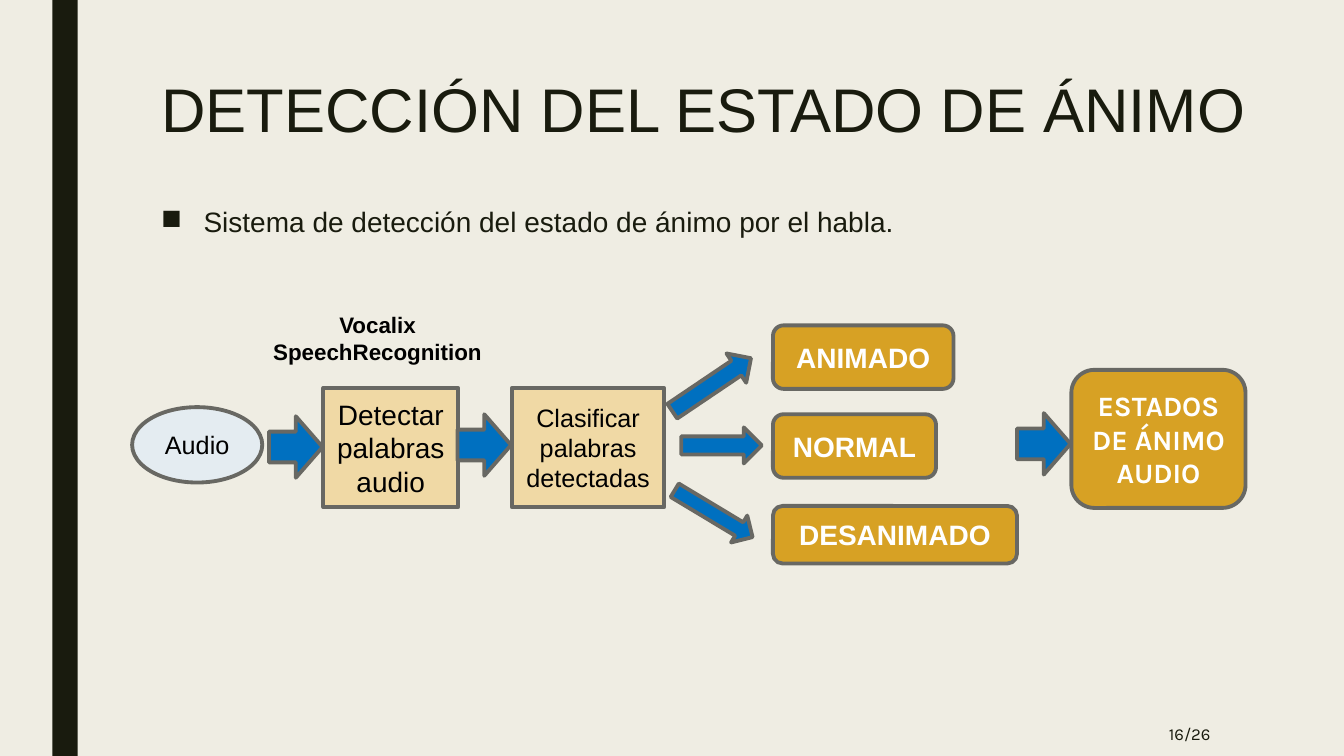
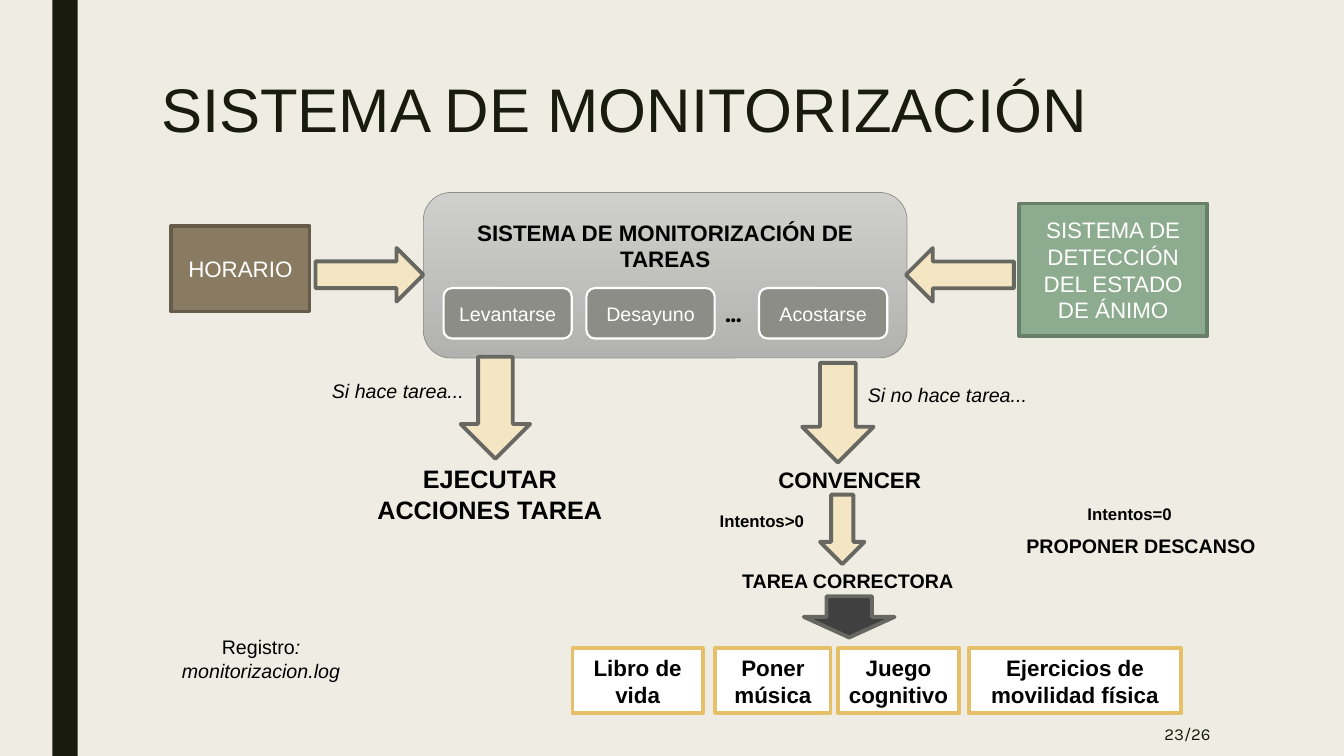
from dataclasses import dataclass

import lxml.etree
import pptx
import pptx.dml.color
import pptx.enum.shapes
import pptx.enum.text
import pptx.oxml.ns
import pptx.util

Cm = pptx.util.Cm
Pt = pptx.util.Pt
rgb = pptx.dml.color.RGBColor.from_string
qn = pptx.oxml.ns.qn
PRESET = pptx.enum.shapes.MSO_SHAPE
ALIGN = pptx.enum.text.PP_ALIGN
ANCHOR = pptx.enum.text.MSO_ANCHOR


@dataclass(frozen=True)
class Theme:
    font: str = "Arial"
    accent_font: str = "Karla"
    paper: str = "EFEDE3"
    ink: str = "191B0E"
    black: str = "000000"
    white: str = "FFFFFF"
    outline: str = "686863"
    blue: str = "0070C0"
    ice: str = "E4ECF1"
    sand: str = "F0D9A5"
    gold: str = "D7A124"
    gold_line: str = "E6C069"
    cream: str = "F5E6C3"
    charcoal: str = "404040"
    gray: str = "8C8D86"
    gray_top: str = "CFCFCD"
    gray_bottom: str = "B2B3AF"
    brown: str = "897B61"
    brown_line: str = "655B48"
    green: str = "8DAB8E"
    green_line: str = "687F69"
    title: int = 44
    large: int = 20
    medium: int = 18
    normal: int = 16
    small: int = 14
    tiny: int = 12
    border: float = 2.75
    thin_border: float = 1.5
    hairline: float = 0.5


theme = Theme()
deck = pptx.Presentation()
deck.slide_width, deck.slide_height = Cm(33.87), Cm(19.05)


def add_item(page, frame, text="", preset=None, fill=None, line=theme.outline,
             width=theme.border, turn=0, size=theme.normal, color=theme.black,
             bold=False, italic=False, font=theme.font, align=ALIGN.CENTER):
    """Add a preset shape, or a plain text box when there is no preset."""
    frame = [Cm(value) for value in frame]
    if preset is None:
        item = page.shapes.add_textbox(*frame)
        item.text_frame.vertical_anchor = ANCHOR.TOP
    else:
        item = page.shapes.add_shape(preset, *frame)
        item.shadow.inherit = False
        item.rotation = turn
        item.text_frame.vertical_anchor = ANCHOR.MIDDLE
        if fill:
            item.fill.solid()
            item.fill.fore_color.rgb = rgb(fill)
        if line:
            item.line.color.rgb = rgb(line)
            item.line.width = Pt(width)
        else:
            item.line.fill.background()
    item.text_frame.word_wrap = True
    if text:
        item.text_frame.text = text
        for para in item.text_frame.paragraphs:
            para.alignment = align
            for span in para.runs:
                span.font.name, span.font.size = font, Pt(size)
                span.font.bold, span.font.italic = bold, italic
                span.font.color.rgb = rgb(color)
    return item


def start_page(title, number):
    """Add a page with the background, side band, title and page number."""
    page = deck.slides.add_slide(deck.slide_layouts[6])
    page.background.fill.solid()
    page.background.fill.fore_color.rgb = rgb(theme.paper)
    add_item(page, (1.32, 0, 0.64, 19.05), preset=PRESET.RECTANGLE,
             fill=theme.ink, line=None)
    heading = add_item(page, (3.81, 1.9, 28.7, 2.06), title, size=theme.title,
                       color=theme.ink, align=ALIGN.LEFT)
    heading.text_frame.paragraphs[0].line_spacing = 0.89
    footer = add_item(page, (26.31, 17.93, 4.45, 1.12), number, size=theme.tiny,
                      color=theme.ink, font=theme.accent_font, align=ALIGN.RIGHT)
    footer.text_frame.vertical_anchor = ANCHOR.MIDDLE
    return page


# Mood detection
page = start_page("DETECCIÓN DEL ESTADO DE ÁNIMO", "16/26")

body = add_item(page, (3.81, 5.11, 28.7, 2.16),
                "Sistema de detección del estado de ánimo por el habla.",
                size=theme.large, color=theme.ink, align=ALIGN.LEFT)
para = body.text_frame.paragraphs[0]
para.line_spacing = 0.94
properties = para._p.get_or_add_pPr()
properties.set("marL", str(Cm(1.07)))
properties.set("indent", str(-Cm(1.07)))
lxml.etree.SubElement(properties, qn("a:buChar")).set("char", "■")

add_item(page, (3.33, 10.26, 3.28, 1.9), "Audio", PRESET.OVAL, theme.ice,
         size=theme.medium)
add_item(page, (5.77, 7.72, 7.49, 1.63), "Vocalix SpeechRecognition", bold=True)
for left, width, text, size in (
    (8.15, 3.4, "Detectar palabras audio", theme.large),
    (12.9, 3.84, "Clasificar palabras detectadas", theme.medium),
):
    add_item(page, (left, 9.78, width, 3), text, PRESET.RECTANGLE, theme.sand,
             size=size)

for frame, turn in (
    ((6.78, 10.49, 1.35, 1.55), 0),
    ((11.53, 10.44, 1.35, 1.55), 0),
    ((16.74, 9.25, 2.39, 0.89), 326),
    ((17.17, 10.77, 2.03, 0.91), 0),
    ((16.84, 12.55, 2.29, 0.79), 31),
    ((25.63, 10.41, 1.35, 1.55), 0),
):
    add_item(page, frame, preset=PRESET.RIGHT_ARROW, fill=theme.blue, turn=turn)

for frame, text, font in (
    ((19.48, 8.2, 4.55, 1.6), "ANIMADO", theme.font),
    ((19.48, 10.44, 4.11, 1.6), "NORMAL", theme.font),
    ((19.48, 12.75, 6.15, 1.45), "DESANIMADO", theme.font),
    ((27, 9.32, 4.39, 3.48), "ESTADOS DE ÁNIMO\nAUDIO", theme.accent_font),
):
    add_item(page, frame, text, PRESET.ROUNDED_RECTANGLE, theme.gold,
             size=theme.large, color=theme.white, bold=True, font=font)

# Monitoring system
page = start_page("SISTEMA DE MONITORIZACIÓN", "23/26")

monitor = add_item(page, (10.67, 4.85, 12.19, 4.17),
                   "SISTEMA DE MONITORIZACIÓN DE TAREAS",
                   PRESET.ROUNDED_RECTANGLE, line=theme.gray,
                   width=theme.hairline, bold=True)
monitor.text_frame.vertical_anchor = ANCHOR.TOP
monitor.text_frame.margin_top = Cm(0.46)
monitor.fill.gradient()
monitor.fill.gradient_angle = 270
for stop, color in zip(monitor.fill.gradient_stops,
                       (theme.gray_top, theme.gray_bottom)):
    stop.color.rgb = rgb(color)

for left, task in ((11.18, "Levantarse"), (14.78, "Desayuno"), (19.13, "Acostarse")):
    add_item(page, (left, 7.26, 3.23, 1.27), task, PRESET.ROUNDED_RECTANGLE,
             theme.gray, theme.white, theme.thin_border, size=theme.small,
             color=theme.white)
add_item(page, (18.03, 7.37, 1.14, 1.07), "...", size=theme.medium, bold=True,
         font=theme.accent_font, align=ALIGN.LEFT)

for frame, text, fill, line in (
    ((4.32, 5.69, 3.48, 2.16), "HORARIO", theme.brown, theme.brown_line),
    ((25.68, 5.13, 4.75, 3.33), "SISTEMA DE DETECCIÓN DEL ESTADO DE ÁNIMO",
     theme.green, theme.green_line),
):
    add_item(page, frame, text, PRESET.RECTANGLE, fill, line, color=theme.white)

for frame, turn, fill in (
    ((7.95, 6.25, 2.72, 1.35), 0, theme.cream),
    ((22.83, 6.25, 2.72, 1.35), 180, theme.cream),
    ((11.2, 9.4, 2.57, 1.75), 90, theme.cream),
    ((19.86, 9.5, 2.51, 1.8), 90, theme.cream),
    ((20.35, 12.78, 1.75, 1.12), 90, theme.cream),
    ((20.88, 14.4, 1.04, 2.29), 90, theme.charcoal),
):
    add_item(page, frame, preset=PRESET.RIGHT_ARROW, fill=fill, turn=turn)

for frame, text, size in (
    ((9.17, 11.56, 6.35, 1.8), "EJECUTAR ACCIONES TAREA", theme.medium),
    ((18.24, 11.63, 6.35, 0.94), "CONVENCER", theme.normal),
    ((18.19, 14.2, 6.35, 0.86), "TAREA CORRECTORA", theme.small),
    ((25.2, 13.34, 7.11, 0.86), "PROPONER DESCANSO", theme.small),
    ((16.43, 12.75, 5.54, 0.76), "Intentos>0", theme.tiny),
    ((25.7, 12.57, 5.54, 0.76), "Intentos=0", theme.tiny),
):
    add_item(page, frame, text, size=size, bold=True)

for left, top, text in ((7.26, 9.42, "Si hace tarea..."),
                        (21.11, 9.52, "Si no hace tarea...")):
    add_item(page, (left, top, 5.54, 0.86), text, size=theme.small, italic=True)

for left, width, text in (
    (14.43, 3.28, "Libro de vida"),
    (18.03, 2.9, "Poner música"),
    (21.11, 3.07, "Juego cognitivo"),
    (24.41, 5.36, "Ejercicios de movilidad física"),
):
    add_item(page, (left, 16.34, width, 1.63), text, PRESET.RECTANGLE,
             theme.white, theme.gold_line, bold=True)

record = add_item(page, (3.81, 15.88, 5.54, 1.45), "Registro", size=theme.small)
span = record.text_frame.paragraphs[0].add_run()
span.text = ": monitorizacion.log"
span.font.name, span.font.size = theme.font, Pt(theme.small)
span.font.italic = True
span.font.color.rgb = rgb(theme.black)

deck.save("out.pptx")
